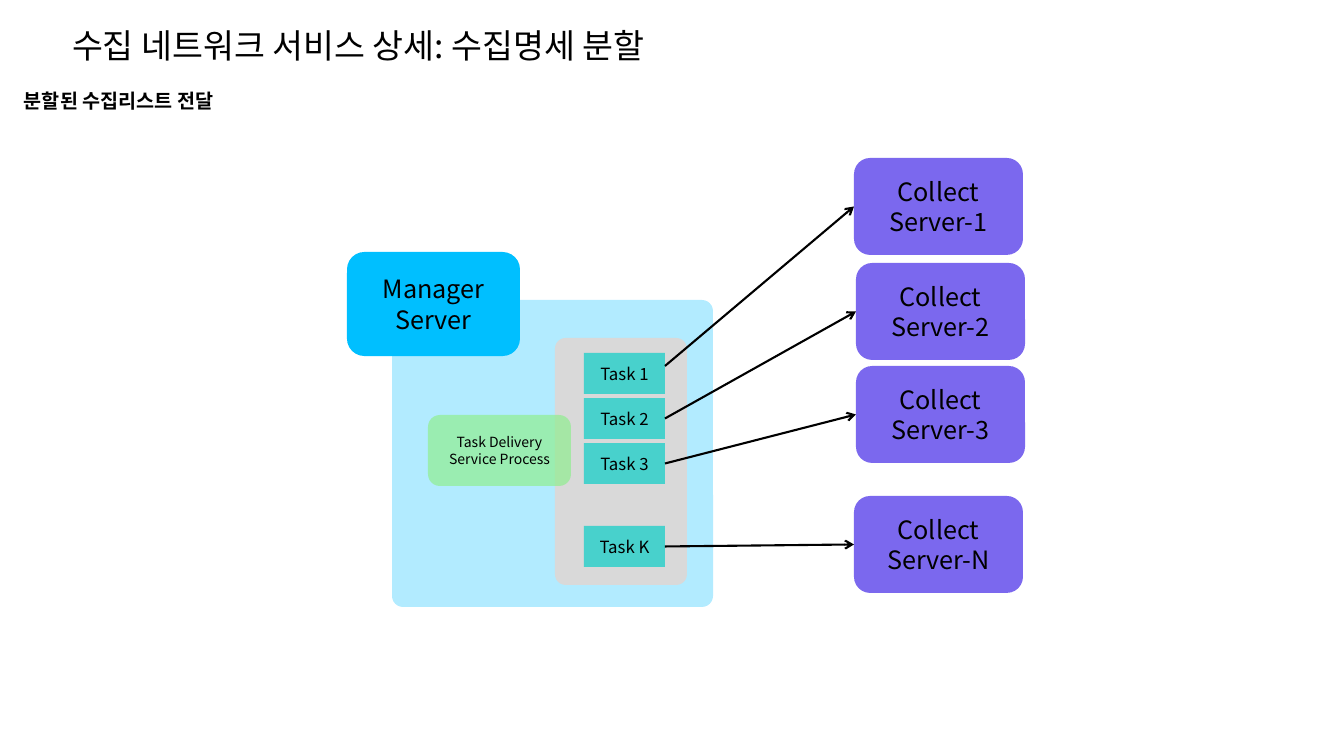
from lxml.etree import SubElement
from pptx import Presentation
from pptx.dml.color import RGBColor
from pptx.enum.shapes import MSO_CONNECTOR, MSO_SHAPE
from pptx.enum.text import MSO_ANCHOR, MSO_AUTO_SIZE, PP_ALIGN
from pptx.oxml.ns import qn
from pptx.util import Pt

PX = 914400 / 100.8
FONT = "Noto Sans CJK KR"
BLACK = RGBColor(0x00, 0x00, 0x00)
SKY = RGBColor(0x00, 0xBF, 0xFF)
GRAY = RGBColor(0xD9, 0xD9, 0xD9)
PURPLE = RGBColor(0x7B, 0x68, 0xEE)
TEAL = RGBColor(0x48, 0xD1, 0xCC)
GREEN = RGBColor(0x90, 0xEE, 0x90)


def px(*values):
    return [round(v * PX) for v in values]


class SlideBuilder:
    def __init__(self, slide):
        self.slide = slide
        self.shapes = slide.shapes

    def set_text(self, tf, lines, size, align, bold=False):
        tf.text = "\n".join(lines)
        for p in tf.paragraphs:
            p.alignment = align
            for r in p.runs:
                r.font.name = FONT
                r.font.size = Pt(size)
                r.font.bold = bold
                r.font.color.rgb = BLACK
                SubElement(r.font._element, qn("a:ea"), typeface=FONT)

    def title(self, box, text):
        sp = self.shapes.title
        sp.left, sp.top, sp.width, sp.height = px(*box)
        tf = sp.text_frame
        tf.word_wrap = True
        tf.auto_size = MSO_AUTO_SIZE.SHAPE_TO_FIT_TEXT
        tf.vertical_anchor = MSO_ANCHOR.TOP
        self.set_text(tf, [text], 24, PP_ALIGN.LEFT)

    def bullet(self, box, text):
        tf = self.shapes.add_textbox(*px(*box)).text_frame
        tf.word_wrap = True
        tf.auto_size = MSO_AUTO_SIZE.SHAPE_TO_FIT_TEXT
        p = tf.paragraphs[0]
        indent = px(31)[0]
        pPr = p._p.get_or_add_pPr()
        pPr.set("marL", str(indent))
        pPr.set("indent", str(-indent))
        SubElement(pPr, qn("a:buChar"), char="❖")
        p.line_spacing = 1.5
        self.set_text(tf, [text], 14, PP_ALIGN.LEFT, bold=True)

    def box(self, box, color, lines=(), size=18, kind=MSO_SHAPE.ROUNDED_RECTANGLE,
            radius=None, alpha=None):
        sp = self.shapes.add_shape(kind, *px(*box))
        sp.shadow.inherit = False
        sp.fill.solid()
        sp.fill.fore_color.rgb = color
        sp.line.fill.background()
        if radius is not None:
            sp.adjustments[0] = radius
        if alpha is not None:
            clr = sp._element.spPr.find(qn("a:solidFill"))[0]
            SubElement(clr, qn("a:alpha"), val=str(alpha * 1000))
        if lines:
            tf = sp.text_frame
            tf.word_wrap = True
            tf.vertical_anchor = MSO_ANCHOR.MIDDLE
            self.set_text(tf, lines, size, PP_ALIGN.CENTER)
        return sp

    def arrow(self, task, server, start=None):
        x = task.left + task.width
        y = task.top + task.height // 2 if start is None else px(start)[0]
        line = self.shapes.add_connector(
            MSO_CONNECTOR.STRAIGHT, x, y,
            server.left, server.top + server.height // 2)
        if start is None:
            line.begin_connect(task, 3)
        line.end_connect(server, 1)
        line.line.color.rgb = BLACK
        line.line.width = Pt(1.5)
        spPr = line._element.spPr
        SubElement(spPr.find(qn("a:ln")), qn("a:tailEnd"), type="arrow")
        SubElement(spPr, qn("a:effectLst"))


def main():
    prs = Presentation()
    prs.slide_width, prs.slide_height = px(1344, 756)
    s = SlideBuilder(prs.slides.add_slide(prs.slide_layouts[5]))

    s.title((62, 20, 667, 50), "수집 네트워크 서비스 상세: 수집명세 분할")
    s.box((392, 300, 321, 307), SKY, radius=0.036, alpha=30)
    s.box((555, 338, 132, 247), GRAY, radius=0.081)
    s.box((347, 252, 173, 104), SKY, ["Manager", "Server"])

    routes = [
        ("1", 353, 854, 158, 366),
        ("2", 398, 856, 263, None),
        ("3", 443, 856, 366, None),
        ("K", 526, 854, 496, None),
    ]
    pairs = []
    for name, task_y, server_x, server_y, start in routes:
        server_name = "N" if name == "K" else name
        server = s.box((server_x, server_y, 169, 97), PURPLE,
                       ["Collect", f"Server-{server_name}"])
        task = s.box((584, task_y, 81, 41), TEAL, [f"Task {name}"], 12,
                     kind=MSO_SHAPE.RECTANGLE)
        pairs.append((task, server, start))

    s.box((428, 415, 143, 71), GREEN, ["Task Delivery", "Service Process"], 10,
          alpha=70)
    for task, server, start in pairs:
        s.arrow(task, server, start)

    s.bullet((14, 84, 1275, 41), "분할된 수집리스트 전달")
    prs.save("out.pptx")


if __name__ == "__main__":
    main()
